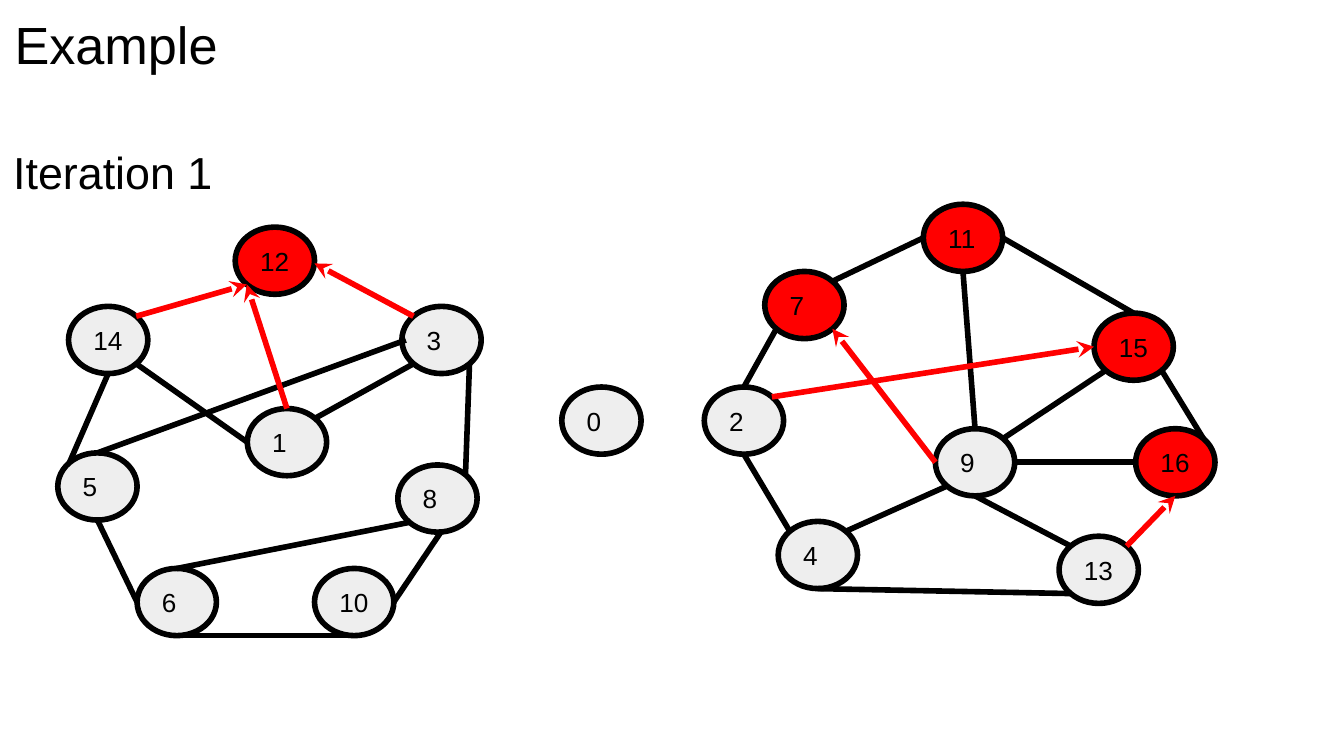
from lxml import etree
from pptx import Presentation
from pptx.dml.color import RGBColor
from pptx.enum import shapes, text
from pptx.oxml import ns
from pptx.util import Inches, Pt

BLACK, RED, GREY = "000000", "FF0000", "EEEEEE"
W, H = 0.59, 0.5

# Node number: left, top
nodes = {
    12: (1.75, 1.69), 14: (0.51, 2.28), 3: (2.99, 2.28), 1: (1.84, 3.04),
    8: (2.96, 3.46), 5: (0.43, 3.37), 6: (1.02, 4.23), 10: (2.34, 4.23),
    0: (4.18, 2.88), 11: (6.87, 1.52), 7: (5.69, 2.02), 15: (8.14, 2.33),
    2: (5.24, 2.88), 4: (5.79, 3.88), 16: (8.45, 3.19), 9: (6.96, 3.19),
    13: (7.88, 3.99),
}
chosen = {7, 11, 12, 15, 16}

# Ends are a node with a compass side, or a plain point
edges = [
    ("3 se", "8 ne"), ((3.28, 3.96), "10 e"), ("10 s", "6 s"),
    ("6 w", "5 s"), ("14 se", "1 w"), ("1 ne", "3 sw"),
    ((3.02, 2.53), "5 n"), ("8 sw", "6 n"), ("5 nw", "14 s"),
    ("11 w", "7 ne"), ("11 e", "15 n"), ("15 se", "16 ne"),
    ("2 s", "4 nw"), ("7 sw", "2 n"), ("9 sw", "4 ne"),
    ("9 s", "13 nw"), ("4 s", "13 sw"), ("9 e", "16 w"),
    ("11 s", "9 n"), ("15 sw", "9 ne"),
]
arrows = [
    ("14 ne", "12 sw"), ("1 n", "12 sw"), ("3 nw", (2.34, 1.96)),
    ("13 ne", "16 s"), ("2 ne", "15 w"), ("9 w", "7 se"),
]


def color(code):
    return RGBColor.from_string(code)


def point(end):
    """Return the x and y of an edge end, in inches."""
    if isinstance(end, tuple):
        return end
    num, side = end.split()
    left, top = nodes[int(num)]
    reach = 0.5 if len(side) == 1 else 0.5 ** 1.5
    dx = ("e" in side) - ("w" in side)
    dy = ("s" in side) - ("n" in side)
    return left + W * (0.5 + dx * reach), top + H * (0.5 + dy * reach)


# A 16:9 slide
prs = Presentation()
prs.slide_width, prs.slide_height = Inches(10), Inches(10 * 9 / 16)
slide = prs.slides.add_slide(prs.slide_layouts[6])

# Title and subtitle
for words, size, place in [
    ("Example", 28, (0.01, -0.01, 9.32, 0.63)),
    ("Iteration 1", 24, (0, 0.92, 2.3, 0.71)),
]:
    box = slide.shapes.add_textbox(*map(Inches, place))
    frame = box.text_frame
    frame.word_wrap = True
    frame.margin_left = frame.margin_right = Inches(0.1)
    frame.margin_top = frame.margin_bottom = Inches(0.1)
    para = frame.paragraphs[0]
    para.text = words
    para.font.size = Pt(size)
    para.font.name = "Arial"
    para.font.color.rgb = color(BLACK)
para.line_spacing = 1.15
para.space_after = Pt(16)

# Nodes
for num, (left, top) in nodes.items():
    node = slide.shapes.add_shape(
        shapes.MSO_SHAPE.OVAL, Inches(left), Inches(top), Inches(W), Inches(H))
    node.shadow.inherit = False
    node.fill.solid()
    node.fill.fore_color.rgb = color(RED if num in chosen else GREY)
    node.line.color.rgb = color(BLACK)
    node.line.width = Pt(3)
    frame = node.text_frame
    frame.word_wrap = True
    frame.vertical_anchor = text.MSO_ANCHOR.MIDDLE
    frame.margin_left = frame.margin_right = Inches(0.1)
    frame.margin_top = frame.margin_bottom = Inches(0.1)
    para = frame.paragraphs[0]
    para.text = str(num)
    para.alignment = text.PP_ALIGN.LEFT
    para.font.size = Pt(14)
    para.font.name = "Arial"
    para.font.color.rgb = color(BLACK)

# Edges in black, chosen links as red arrows
for pairs, tint in [(edges, BLACK), (arrows, RED)]:
    for start, stop in pairs:
        ends = map(Inches, point(start) + point(stop))
        line = slide.shapes.add_connector(shapes.MSO_CONNECTOR.STRAIGHT, *ends)
        line.line.color.rgb = color(tint)
        line.line.width = Pt(3)
        props = line._element.spPr
        if tint == RED:
            etree.SubElement(props.get_or_add_ln(),
                             ns.qn("a:tailEnd"), type="stealth")
        etree.SubElement(props, ns.qn("a:effectLst"))

prs.save("out.pptx")
